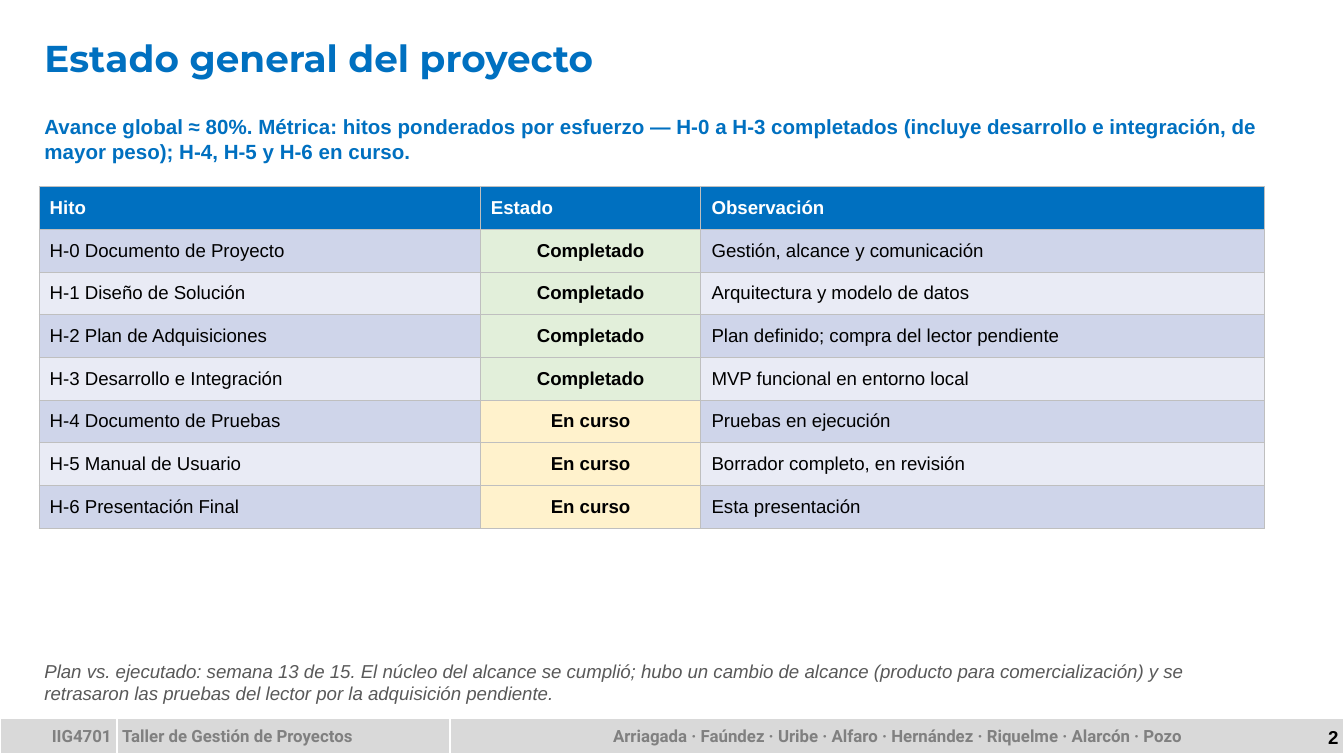
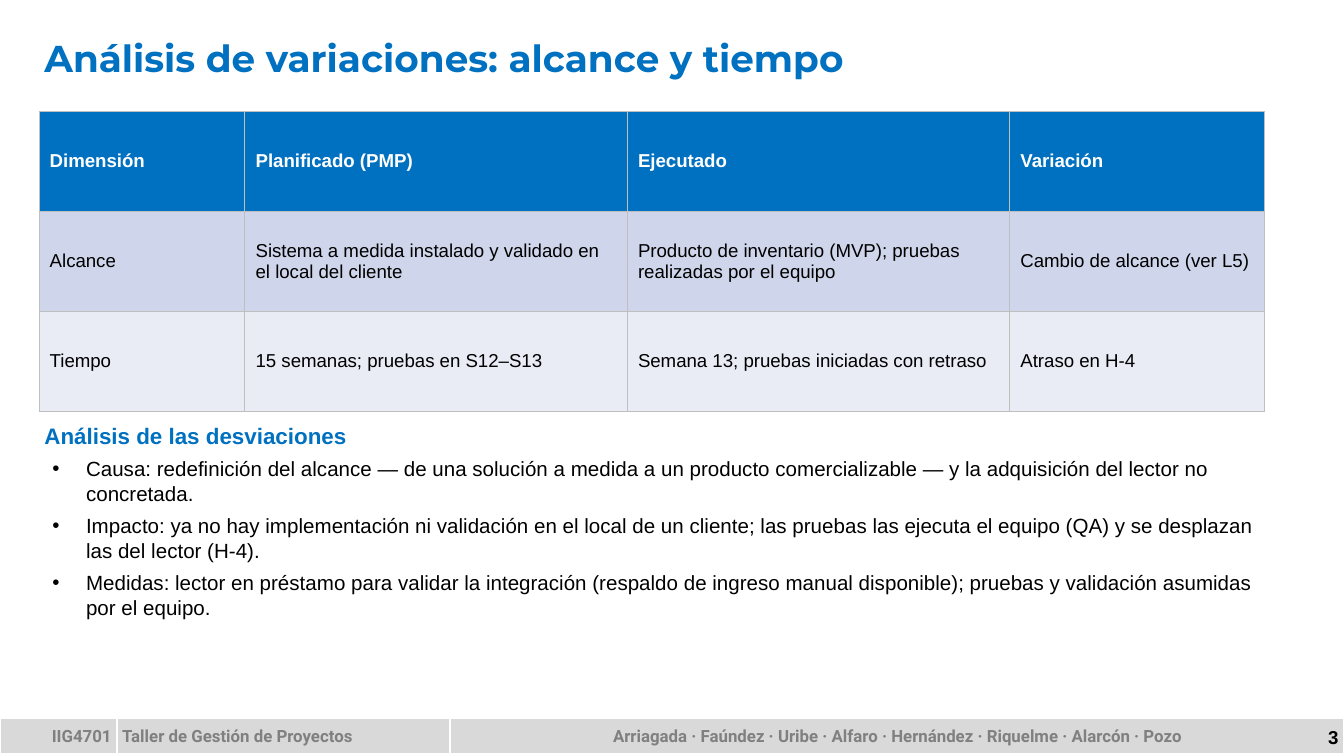
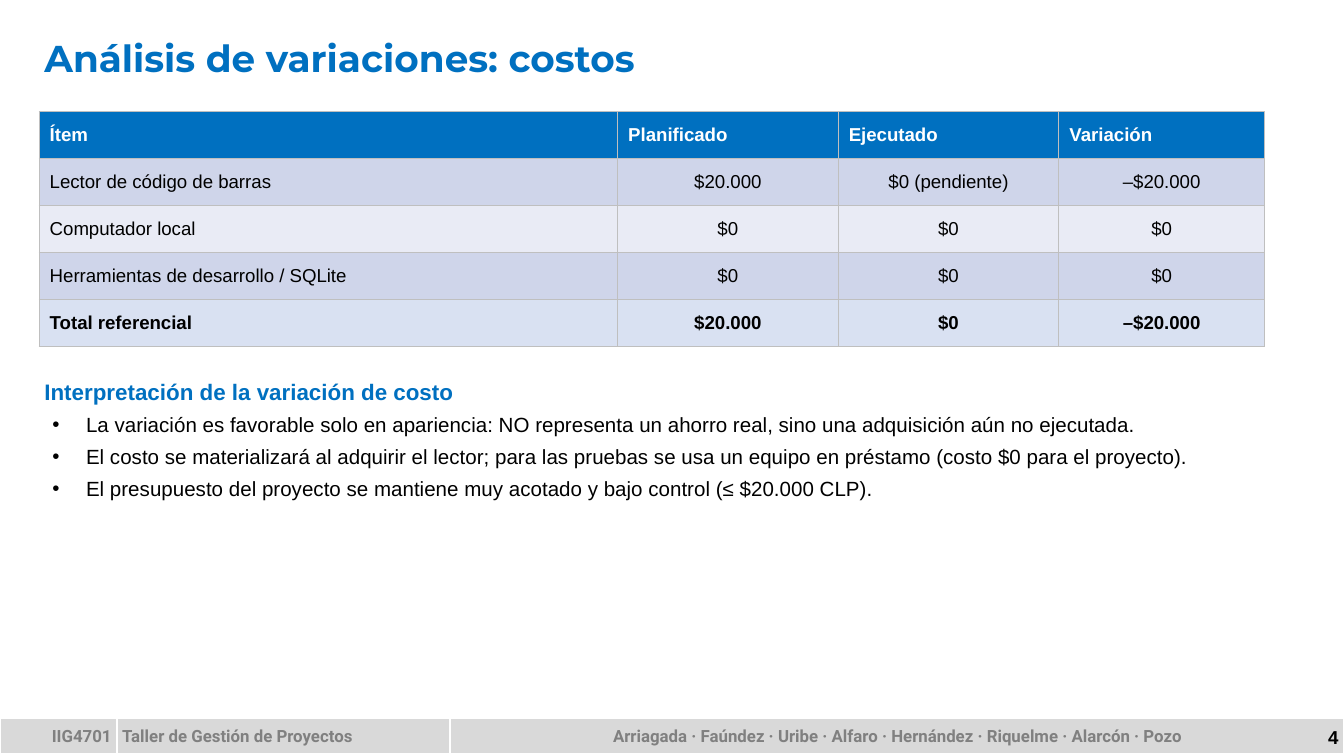
from dataclasses import dataclass

from lxml.etree import SubElement
from pptx import Presentation
from pptx.dml.color import RGBColor
from pptx.enum.text import MSO_ANCHOR, MSO_AUTO_SIZE, PP_ALIGN
from pptx.oxml.ns import qn
from pptx.util import Inches, Pt


@dataclass(frozen=True)
class Theme:
    accent: str = "0070C0"
    ink: str = "000000"
    white: str = "FFFFFF"
    note: str = "595959"
    footer_ink: str = "808080"
    footer_fill: str = "D9D9D9"
    grid: str = "BFBFBF"
    bands: tuple = ("CFD5EA", "E9EBF5")
    done: str = "E2EFDA"
    ongoing: str = "FFF2CC"
    total: str = "D9E1F2"
    title_font: str = "Montserrat"
    body_font: str = "Arial"
    footer_font: str = "Roboto"
    title_size: int = 20
    heading_size: int = 12
    body_size: int = 11
    table_size: int = 10
    footer_size: int = 9


@dataclass(frozen=True)
class Box:
    left: float
    top: float
    width: float
    height: float

    def band(self, offset, height):
        return Box(self.left, self.top + offset, self.width, height)

    def emu(self):
        return [Inches(v) for v in (self.left, self.top, self.width, self.height)]


THEME = Theme()
PAGE = Box(0, 0, 10, 10 * 9 / 16)
TITLE = Box(0.29, 0.26, 9.12, 0.47)
CONTENT = Box(0.29, 0.83, 9.12, 4.46)
FOOTER = PAGE.band(PAGE.height - 0.28, 0.28)
COURSE = ("IIG4701", "Taller de Gestión de Proyectos",
          "Arriagada · Faúndez · Uribe · Alfaro · Hernández · Riquelme · Alarcón · Pozo")
FOOTER_ALIGN = (PP_ALIGN.RIGHT, PP_ALIGN.LEFT, PP_ALIGN.CENTER)


def write(paragraph, text, size=THEME.body_size, color=THEME.ink, font=THEME.body_font,
          bold=False, italic=False, align=PP_ALIGN.LEFT, before=0):
    paragraph.alignment = align
    paragraph.space_before = Pt(before)
    run = paragraph.add_run()
    run.text = text
    run.font.size = Pt(size)
    run.font.name = font
    run.font.bold = bold
    run.font.italic = italic
    run.font.color.rgb = RGBColor.from_string(color)


def set_insets(target, side, vertical):
    target.margin_left = target.margin_right = Inches(side)
    target.margin_top = target.margin_bottom = Inches(vertical)


def fit_frame(shape, box, vertical=0.02, anchor=MSO_ANCHOR.TOP):
    shape.left, shape.top, shape.width, shape.height = box.emu()
    frame = shape.text_frame
    frame.word_wrap = True
    frame.auto_size = MSO_AUTO_SIZE.NONE
    frame.vertical_anchor = anchor
    set_insets(frame, 0.04, vertical)
    return frame


def add_text(slide, box, text, vertical=0.02, anchor=MSO_ANCHOR.TOP, **look):
    shape = slide.shapes.add_textbox(*box.emu())
    write(fit_frame(shape, box, vertical, anchor).paragraphs[0], text, **look)


def set_bullet(paragraph, char=None):
    props = paragraph._p.get_or_add_pPr()
    props.set("marL", str(Inches(0.31) if char else 0))
    props.set("indent", str(Inches(-0.25) if char else 0))
    if char:
        SubElement(props, qn("a:buChar")).set("char", char)
    else:
        SubElement(props, qn("a:buNone"))


def set_borders(cell, color, widths):
    props = cell._tc.get_or_add_tcPr()
    for side, width in zip("LRTB", widths):
        line = SubElement(props, qn(f"a:ln{side}"), w=str(Pt(width)))
        fill = SubElement(line, qn("a:solidFill"))
        SubElement(fill, qn("a:srgbClr"), val=color)


def add_grid(slide, box, shares, row_count):
    table = slide.shapes.add_table(row_count, len(shares), *box.emu()).table
    table.first_row = table.horz_banding = False
    for column, share in zip(table.columns, shares):
        column.width = Inches(box.width * share)
    for row in table.rows:
        row.height = Inches(box.height / row_count)
    return table


def fill_cell(cell, text, fill, border, widths, insets, **look):
    set_borders(cell, border, widths)
    cell.fill.solid()
    cell.fill.fore_color.rgb = RGBColor.from_string(fill)
    cell.vertical_anchor = MSO_ANCHOR.MIDDLE
    set_insets(cell, *insets)
    write(cell.text_frame.paragraphs[0], text, **look)


def add_data_table(slide, box, shares, rows, centered=(), highlights=None):
    highlights = highlights or {}
    table = add_grid(slide, box, shares, len(rows))
    for r, row in enumerate(rows):
        for c, text in enumerate(row):
            header = r == 0
            highlight = highlights.get(text) or highlights.get(row[0])
            fill = THEME.accent if header else highlight or THEME.bands[(r - 1) % 2]
            fill_cell(table.cell(r, c), text, fill, THEME.grid, (0.5,) * 4, (0.08, 0.02),
                      size=THEME.table_size, bold=header or bool(highlight),
                      color=THEME.white if header else THEME.ink,
                      align=PP_ALIGN.CENTER if c in centered and not header else PP_ALIGN.LEFT)


def add_footer(slide, box, number):
    table = add_grid(slide, box, (0.087, 0.248, 0.665), 1)
    for c, (text, align) in enumerate(zip(COURSE, FOOTER_ALIGN)):
        fill_cell(table.cell(0, c), text, THEME.footer_fill, THEME.white, (1, 1, 1, 3), (0.04, 0),
                  size=THEME.footer_size, font=THEME.footer_font, color=THEME.footer_ink,
                  bold=True, align=align)
    number_box = Box(box.left + box.width - 0.33, box.top, 0.33, box.height)
    add_text(slide, number_box, str(number), vertical=0.04, anchor=MSO_ANCHOR.MIDDLE,
             size=THEME.table_size, bold=True, align=PP_ALIGN.RIGHT)


def add_analysis(slide, box, heading, points):
    frame = fit_frame(slide.placeholders[1], box)
    set_bullet(frame.paragraphs[0])
    write(frame.paragraphs[0], heading, size=THEME.heading_size, color=THEME.accent, bold=True)
    for point in points:
        paragraph = frame.add_paragraph()
        set_bullet(paragraph, "•")
        write(paragraph, point, before=4)


def start_slide(prs, layout, title, number):
    slide = prs.slides.add_slide(prs.slide_layouts.get_by_name(layout))
    write(fit_frame(slide.shapes.title, TITLE, 0).paragraphs[0], title, size=THEME.title_size,
          color=THEME.accent, font=THEME.title_font, bold=True)
    add_footer(slide, FOOTER, number)
    return slide


def build_status(prs, box, number):
    slide = start_slide(prs, "Title Only", "Estado general del proyecto", number)
    add_text(slide, box.band(0, 0.51),
             "Avance global ≈ 80%. Métrica: hitos ponderados por esfuerzo — H-0 a H-3 completados "
             "(incluye desarrollo e integración, de mayor peso); H-4, H-5 y H-6 en curso.",
             color=THEME.accent, bold=True)
    milestones = [
        ("Hito", "Estado", "Observación"),
        ("H-0 Documento de Proyecto", "Completado", "Gestión, alcance y comunicación"),
        ("H-1 Diseño de Solución", "Completado", "Arquitectura y modelo de datos"),
        ("H-2 Plan de Adquisiciones", "Completado", "Plan definido; compra del lector pendiente"),
        ("H-3 Desarrollo e Integración", "Completado", "MVP funcional en entorno local"),
        ("H-4 Documento de Pruebas", "En curso", "Pruebas en ejecución"),
        ("H-5 Manual de Usuario", "En curso", "Borrador completo, en revisión"),
        ("H-6 Presentación Final", "En curso", "Esta presentación"),
    ]
    add_data_table(slide, box.band(0.56, 2.54), (0.36, 0.18, 0.46), milestones, centered=(1,),
                   highlights={"Completado": THEME.done, "En curso": THEME.ongoing})
    add_text(slide, box.band(4.06, 0.4),
             "Plan vs. ejecutado: semana 13 de 15. El núcleo del alcance se cumplió; hubo un cambio "
             "de alcance (producto para comercialización) y se retrasaron las pruebas del lector "
             "por la adquisición pendiente.",
             size=THEME.table_size, color=THEME.note, italic=True)


def build_scope_and_time(prs, box, number):
    slide = start_slide(prs, "Title and Content", "Análisis de variaciones: alcance y tiempo", number)
    variations = [
        ("Dimensión", "Planificado (PMP)", "Ejecutado", "Variación"),
        ("Alcance", "Sistema a medida instalado y validado en el local del cliente",
         "Producto de inventario (MVP); pruebas realizadas por el equipo",
         "Cambio de alcance (ver L5)"),
        ("Tiempo", "15 semanas; pruebas en S12–S13",
         "Semana 13; pruebas iniciadas con retraso", "Atraso en H-4"),
    ]
    add_data_table(slide, box.band(0, 2.23), (0.168, 0.312, 0.312, 0.208), variations)
    add_analysis(slide, box.band(2.29, 2.08), "Análisis de las desviaciones", [
        "Causa: redefinición del alcance — de una solución a medida a un producto "
        "comercializable — y la adquisición del lector no concretada.",
        "Impacto: ya no hay implementación ni validación en el local de un cliente; las pruebas "
        "las ejecuta el equipo (QA) y se desplazan las del lector (H-4).",
        "Medidas: lector en préstamo para validar la integración (respaldo de ingreso manual "
        "disponible); pruebas y validación asumidas por el equipo.",
    ])


def build_costs(prs, box, number):
    slide = start_slide(prs, "Title and Content", "Análisis de variaciones: costos", number)
    costs = [
        ("Ítem", "Planificado", "Ejecutado", "Variación"),
        ("Lector de código de barras", "$20.000", "$0 (pendiente)", "–$20.000"),
        ("Computador local", "$0", "$0", "$0"),
        ("Herramientas de desarrollo / SQLite", "$0", "$0", "$0"),
        ("Total referencial", "$20.000", "$0", "–$20.000"),
    ]
    add_data_table(slide, box.band(0, 1.75), (0.472, 0.18, 0.18, 0.168), costs,
                   centered=(1, 2, 3), highlights={"Total referencial": THEME.total})
    add_analysis(slide, box.band(1.96, 2.3), "Interpretación de la variación de costo", [
        "La variación es favorable solo en apariencia: NO representa un ahorro real, sino una "
        "adquisición aún no ejecutada.",
        "El costo se materializará al adquirir el lector; para las pruebas se usa un equipo en "
        "préstamo (costo $0 para el proyecto).",
        "El presupuesto del proyecto se mantiene muy acotado y bajo control (≤ $20.000 CLP).",
    ])


def main():
    prs = Presentation()
    prs.slide_width, prs.slide_height = Inches(PAGE.width), Inches(PAGE.height)
    builders = (build_status, build_scope_and_time, build_costs)
    for number, build in enumerate(builders, start=2):
        build(prs, CONTENT, number)
    prs.save("out.pptx")


if __name__ == "__main__":
    main()
